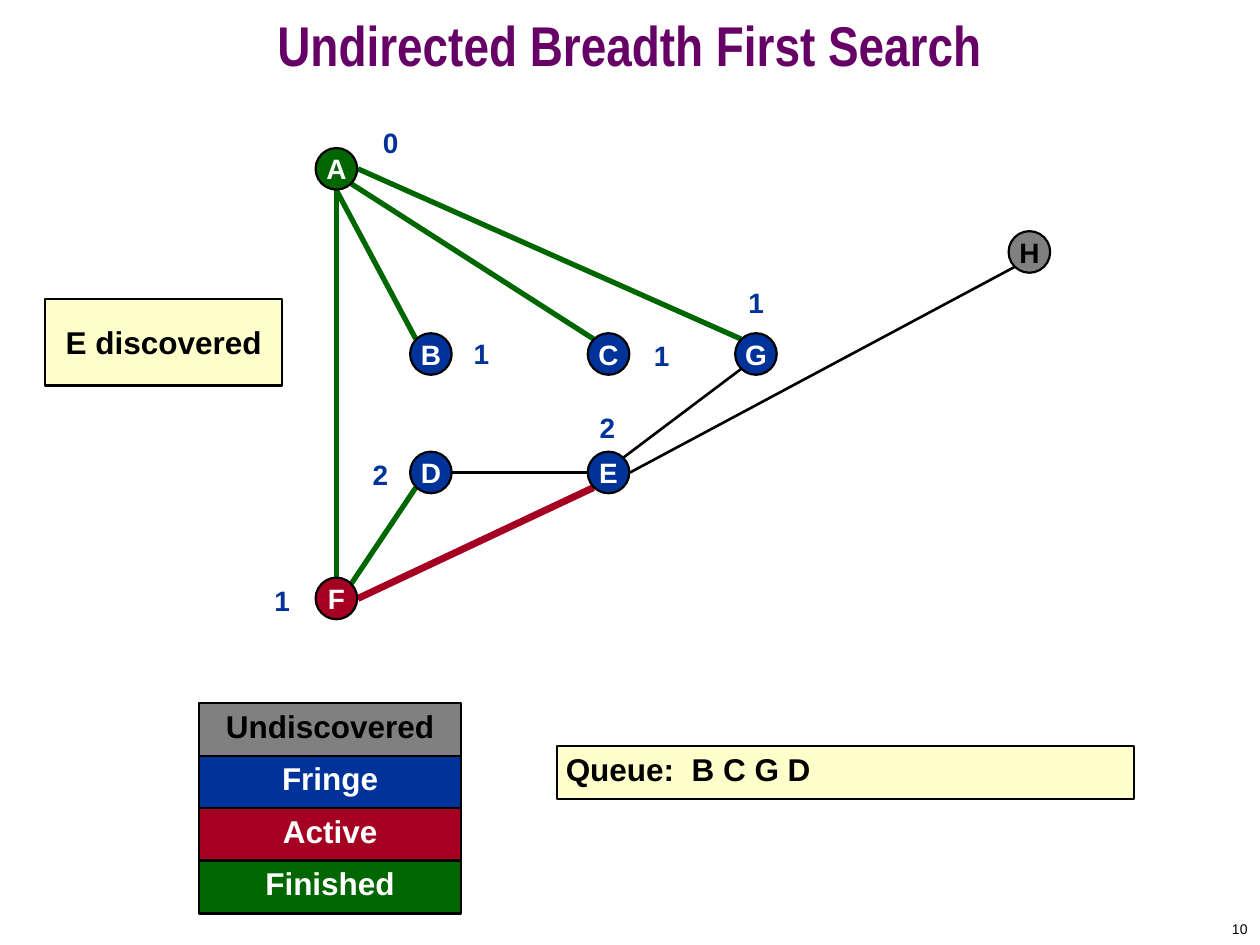
from math import cos, radians, sin

from lxml.etree import SubElement
from pptx import Presentation
from pptx.dml.color import RGBColor as Rgb
from pptx.enum.shapes import MSO_CONNECTOR as Link, MSO_SHAPE as Kind
from pptx.enum.text import MSO_ANCHOR as Anchor, MSO_AUTO_SIZE as Fit, PP_ALIGN as Align
from pptx.oxml.ns import qn
from pptx.util import Inches, Pt

HUES = {
    "title": "660066", "black": "000000", "white": "FFFFFF", "note": "FFFFCC",
    "Undiscovered": "808080", "Fringe": "003399",
    "Active": "A50021", "Finished": "006600",
}
NODES = {
    "A": (2.67, 1.34, "Finished"), "B": (3.42, 2.81, "Fringe"),
    "C": (4.83, 2.81, "Fringe"), "G": (6, 2.81, "Fringe"),
    "D": (3.42, 3.75, "Fringe"), "E": (4.83, 3.75, "Fringe"),
    "F": (2.67, 4.75, "Active"), "H": (8.17, 2, "Undiscovered"),
}
ANGLES = {"E": 0, "SE": 45, "S": 90, "SW": 135, "W": 180, "NW": 225, "N": 270, "NE": 315}
EDGES = [
    ("F", "N", "A", "S", "Finished", 3), ("A", "SE", "C", "NW", "Finished", 3),
    ("A", "E", "G", "NW", "Finished", 3), ("A", "S", "B", "NW", "Finished", 3),
    ("F", "NE", "D", "SW", "Finished", 3), ("E", "W", "D", "E", "black", 1.5),
    ("E", "NE", "G", "SW", "black", 1.5), ("E", "E", "H", "SW", "black", 1.5),
    ("F", "E", "E", "SW", "Active", 4),
]
LEVELS = [
    ("0", 2.94, 1), ("1", 2.08, 4.63), ("1", 3.66, 2.67), ("1", 5.09, 2.69),
    ("1", 5.84, 2.27), ("2", 2.86, 3.63), ("2", 4.66, 3.26),
]
STATES = ["Undiscovered", "Fringe", "Active", "Finished"]


def hue(name):
    """Return the colour with this name."""
    return Rgb.from_string(HUES[name])


def ink(state):
    """Return the text colour that reads well on a state."""
    return "black" if state == "Undiscovered" else "white"


def write(shape, text, size, tint, align=Align.CENTER, anchor=Anchor.MIDDLE,
          pad=(0.1, 0.05, 0.1, 0.05), wrap=False, bold=True, font="Arial"):
    """Set one formatted run in a shape and return its paragraph."""
    frame = shape.text_frame
    frame.auto_size = Fit.NONE
    frame.word_wrap = wrap
    frame.vertical_anchor = anchor
    (frame.margin_left, frame.margin_top,
     frame.margin_right, frame.margin_bottom) = map(Inches, pad)
    para = frame.paragraphs[0]
    para.alignment = align
    run = para.add_run()
    run.text = text
    run.font.name, run.font.size, run.font.bold = font, Pt(size), bold
    run.font.color.rgb = hue(tint)
    return para


def add_form(slide, kind, box, fill):
    """Add a filled shape with a thin black outline."""
    shape = slide.shapes.add_shape(kind, *map(Inches, box))
    shape.shadow.inherit = False
    shape.fill.solid()
    shape.fill.fore_color.rgb = hue(fill)
    shape.line.color.rgb = hue("black")
    shape.line.width = Pt(1.25)
    return shape


def add_node(slide, name, x, y, state):
    """Add a graph node centred on a point."""
    size = 0.33
    box = (x - size / 2, y - size / 2, size, size)
    shape = add_form(slide, Kind.OVAL, box, state)
    write(shape, name, 16, ink(state))


def rim(name, side):
    """Return the point where an edge meets a node."""
    x, y, _ = NODES[name]
    turn = radians(ANGLES[side])
    return Inches(x + 0.17 * cos(turn)), Inches(y + 0.17 * sin(turn))


def add_edge(slide, start, out, end, into, tint, width):
    """Add a straight edge between two nodes."""
    line = slide.shapes.add_connector(Link.STRAIGHT, *rim(start, out), *rim(end, into))
    line.line.color.rgb = hue(tint)
    line.line.width = Pt(width)
    SubElement(line._element.spPr, qn("a:effectLst"))


def add_level(slide, text, x, y):
    """Add the distance label of a node."""
    box = slide.shapes.add_textbox(*map(Inches, (x, y, 0.32, 0.27)))
    write(box, text, 16, "Fringe", anchor=Anchor.TOP, pad=(0, 0, 0, 0), wrap=True)


def add_bar(slide, text, box, fill, tint, align=Align.CENTER, left=0):
    """Add a box with text along its top."""
    shape = add_form(slide, Kind.RECTANGLE, box, fill)
    write(shape, text, 18, tint, align, Anchor.TOP, (left, 0.03, 0, 0), True)


def add_title(slide, text):
    """Place and format the slide title."""
    title = slide.shapes.title
    title.left, title.top, title.width, title.height = map(Inches, (0, 0, 10, 0.83))
    para = write(title, text, 32, "title", wrap=True, font="Arial Narrow")
    para.line_spacing = 0.7


def add_page(slide, text):
    """Add the page number in the corner."""
    box = slide.shapes.add_textbox(*map(Inches, (7.92, 7.25, 2.08, 0.25)))
    write(box, text, 8, "black", Align.RIGHT, wrap=True, bold=False)


def main():
    """Build the slide and save it."""
    deck = Presentation()
    deck.slide_width, deck.slide_height = Inches(10), Inches(7.5)
    slide = deck.slides.add_slide(deck.slide_layouts[5])
    add_title(slide, "Undirected Breadth First Search")
    for edge in EDGES:
        add_edge(slide, *edge)
    for name, node in NODES.items():
        add_node(slide, name, *node)
    for level in LEVELS:
        add_level(slide, *level)
    for row, state in enumerate(STATES):
        box = (1.58, 5.58 + row * 1.25 / 3, 2.08, 0.42)
        add_bar(slide, state, box, state, ink(state))
    add_bar(slide, "Queue:  B C G D", (4.42, 5.92, 4.58, 0.42), "note", "black",
            Align.LEFT, 0.07)
    event = add_form(slide, Kind.RECTANGLE, (0.36, 2.37, 1.88, 0.69), "note")
    write(event, "E discovered", 18, "black")
    add_page(slide, "10")
    deck.save("out.pptx")


if __name__ == "__main__":
    main()
